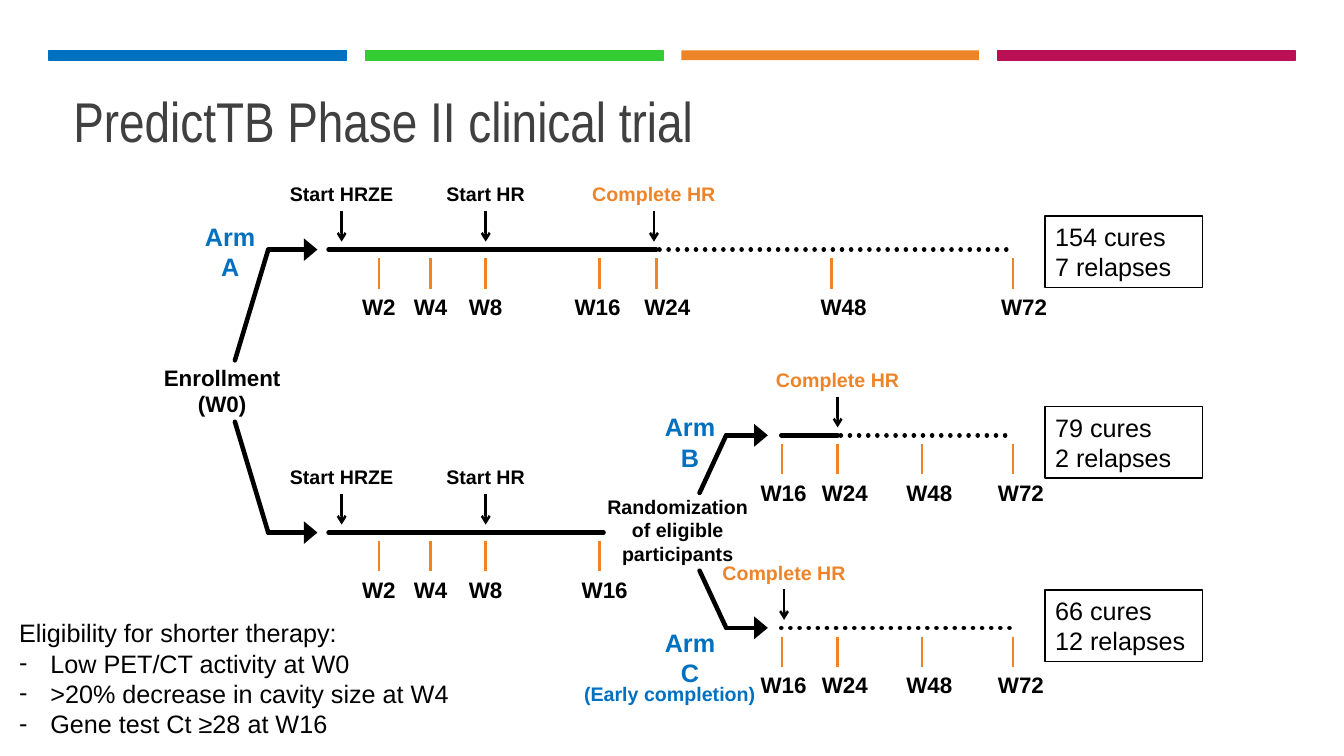
import lxml.etree
import pptx
import pptx.dml.color
import pptx.enum.dml
import pptx.enum.shapes
import pptx.enum.text
import pptx.oxml.ns
import pptx.util

Cm = pptx.util.Cm
Pt = pptx.util.Pt
qn = pptx.oxml.ns.qn
ALIGN = pptx.enum.text.PP_ALIGN
ANCHOR = pptx.enum.text.MSO_ANCHOR

COLORS = {
    "blue": "0070C0", "green": "33CC33", "orange": "ED8428", "berry": "BC1056",
    "callout": "EE8429", "black": "000000", "title": "404040",
}
THICK, THIN = 3.25, 1.75
CALLOUT_WIDTHS = {"Start HRZE": 3.3, "Start HR": 2.64, "Complete HR": 4.04}


def rgb(name):
    return pptx.dml.color.RGBColor.from_string(COLORS[name])


def write(frame, lines, size, color="black", bold=False, align=ALIGN.LEFT,
          font="Arial", dashed=False):
    """Write one paragraph per line; dashed lists every line after the first."""
    frame.word_wrap = True
    for index, line in enumerate(lines):
        paragraph = frame.paragraphs[0] if index == 0 else frame.add_paragraph()
        paragraph.alignment = align
        if dashed and index:
            properties = paragraph._p.get_or_add_pPr()
            properties.set("marL", str(Cm(0.79)))
            properties.set("indent", str(-Cm(0.79)))
            lxml.etree.SubElement(properties, qn("a:buFont")).set("typeface", font)
            lxml.etree.SubElement(properties, qn("a:buChar")).set("char", "-")
        run = paragraph.add_run()
        run.text = line
        run.font.name = font
        run.font.size = Pt(size)
        run.font.bold = bold
        run.font.color.rgb = rgb(color)


def add_text(slide, box, lines, size, **style):
    frame = slide.shapes.add_textbox(*map(Cm, box)).text_frame
    write(frame, lines, size, **style)
    return frame


def add_label(slide, center, top, width, text, size, color="black", height=0.9):
    add_text(slide, (center - width / 2, top, width, height), text.split("\n"),
             size, color=color, bold=True, align=ALIGN.CENTER)


def add_line(slide, start, end, width, color="black", head=None, dotted=False):
    line = slide.shapes.add_connector(
        pptx.enum.shapes.MSO_CONNECTOR.STRAIGHT, *map(Cm, start + end))
    line.line.color.rgb = rgb(color)
    line.line.width = Pt(width)
    if dotted:
        line.line.dash_style = pptx.enum.dml.MSO_LINE.ROUND_DOT
    properties = line._element.spPr
    outline = properties.find(qn("a:ln"))
    if width == THICK:
        outline.set("cap", "rnd")
    if head:
        arrowhead = lxml.etree.SubElement(outline, qn("a:tailEnd"))
        arrowhead.set("type", head)
        if head == "triangle":
            arrowhead.set("w", "lg")
    lxml.etree.SubElement(properties, qn("a:effectLst"))


def add_rectangle(slide, box, fill=None, outline=None):
    rectangle = slide.shapes.add_shape(
        pptx.enum.shapes.MSO_SHAPE.RECTANGLE, *map(Cm, box))
    rectangle.shadow.inherit = False
    if fill:
        rectangle.fill.solid()
        rectangle.fill.fore_color.rgb = rgb(fill)
    else:
        rectangle.fill.background()
    if outline:
        rectangle.line.color.rgb = rgb(outline)
        rectangle.line.width = Pt(1)
    else:
        rectangle.line.fill.background()
    return rectangle


def header(slide, box):
    """Four colour bars above the title."""
    left, top, width, height = box
    gap = 0.47
    bar_width = (width - 3 * gap) / 4
    for index, color in enumerate(("blue", "green", "orange", "berry")):
        bar = (left + index * (bar_width + gap), top, bar_width, 0.25)
        add_rectangle(slide, bar, color, None if color == "orange" else color)
    title = add_text(slide, (left + 0.36, top + 0.76, width - 0.77, height - 0.76),
                     ["PredictTB Phase II clinical trial"], 40,
                     color="title", font="Arial Narrow")
    title.vertical_anchor = ANCHOR.BOTTOM
    title.paragraphs[0].line_spacing = 0.9


def fork(slide, box, elbow, gap):
    """Two stems leaving the gap, each ending in an arrow to an arm."""
    left, top, width, height = box
    for arm, stem in ((top, top + gap[0]), (top + height, top + gap[1])):
        add_line(slide, (left, stem), (left + elbow, arm), THICK)
        add_line(slide, (left + elbow, arm), (left + width, arm), THICK, head="triangle")


def timeline(slide, box, treated, weeks, callouts):
    """Treatment line, dotted follow-up, week ticks and callouts.

    weeks: (week, tick offset, label shift); callouts: (text, offset).
    """
    left, axis, width = box
    if treated:
        add_line(slide, (left, axis), (left + treated, axis), THICK)
    if treated < width:
        follow_up = left + treated + (0.08 if treated else 0)
        add_line(slide, (follow_up, axis), (left + width, axis), THICK, dotted=True)
    for week, offset, shift in weeks:
        x = left + offset
        add_line(slide, (x, axis + 0.22), (x, axis + 0.98), THIN, "orange")
        label_width = 1.47 if week < 10 else 1.95
        add_label(slide, x + shift, axis + 0.97, label_width, f"W{week}", 16)
    for text, offset in callouts:
        x = left + offset
        add_line(slide, (x, axis - 0.97), (x, axis - 0.2), THIN, head="arrow")
        add_label(slide, x, axis - 1.82, CALLOUT_WIDTHS[text], text, 14,
                  "callout" if text == "Complete HR" else "black")


def outcome(slide, box, cures, relapses):
    frame = add_rectangle(slide, box, outline="black").text_frame
    frame.vertical_anchor = ANCHOR.MIDDLE
    write(frame, [f"{cures} cures", f"{relapses} relapses"], 18)


def trial_diagram(slide, box):
    left, top, width, height = box

    # Enrollment and randomization
    arm_a, arm_b, arm_c, induction = (top + y for y in (1.86, 6.54, 11.39, 8.99))
    add_label(slide, left + 2.02, top + 4.61, 4.04, "Enrollment\n(W0)", 16, height=1.63)
    fork(slide, (left + 2.34, arm_a, 2.08, induction - arm_a), 0.84, (2.79, 4.34))
    add_label(slide, left + 13.5, top + 7.91, 4.14,
              "Randomization of eligible participants", 14, height=1.85)
    fork(slide, (left + 14.05, arm_b, 1.72, arm_c - arm_b), 0.67, (1.45, 3.41))

    # Timelines
    starts = [("Start HRZE", 0.33), ("Start HR", 3.96)]
    early = [(2, 1.27, 0), (4, 2.57, 0), (8, 3.96, 0)]
    timeline(slide, (left + 4.7, arm_a, 17.3), 8.26,
             early + [(16, 6.83, -0.05), (24, 8.26, 0.28), (48, 12.68, 0.3),
                      (72, 17.25, 0.28)],
             starts + [("Complete HR", 8.2)])
    timeline(slide, (left + 4.7, induction, 6.93), 6.93,
             early + [(16, 6.83, 0.13)], starts)
    late = [(16, 0.02, 0.04), (24, 1.42, 0.18), (48, 3.55, 0.18), (72, 5.84, 0.2)]
    timeline(slide, (left + 16.11, arm_b, 5.84), 1.42, late, [("Complete HR", 1.42)])
    timeline(slide, (left + 16.11, arm_c, 5.84), 0, late, [("Complete HR", 0.07)])

    # Arm names and outcomes
    arms = [("A", 2.22, 1.01, 154, 7, 1.01), ("B", 13.81, 5.82, 79, 2, 5.82),
            ("C", 13.81, 11.25, 66, 12, 10.44)]
    for arm, x, y, cures, relapses, outcome_y in arms:
        add_label(slide, left + x, top + y, 2.26, f"Arm {arm}", 18, "blue")
        outcome(slide, (left + width - 3.96, top + outcome_y, 3.96, 1.8), cures, relapses)
    add_label(slide, left + 13.3, top + height - 0.76, 5.36, "(Early completion)", 14,
              "blue", 0.76)


def eligibility(slide, box):
    add_text(slide, box, [
        "Eligibility for shorter therapy:",
        "Low PET/CT activity at W0",
        ">20% decrease in cavity size at W4",
        "Gene test Ct ≥28 at W16",
    ], 18, dashed=True)


def main():
    deck = pptx.Presentation()
    deck.slide_width, deck.slide_height = Cm(33.87), Cm(19.05)
    slide = deck.slides.add_slide(deck.slide_layouts[6])
    header(slide, (1.24, 1.27, 31.4, 2.74))
    trial_diagram(slide, (3.58, 4.43, 26.72, 13.4))
    eligibility(slide, (0.23, 15.44, 14.48, 3.33))
    deck.save("out.pptx")


if __name__ == "__main__":
    main()
